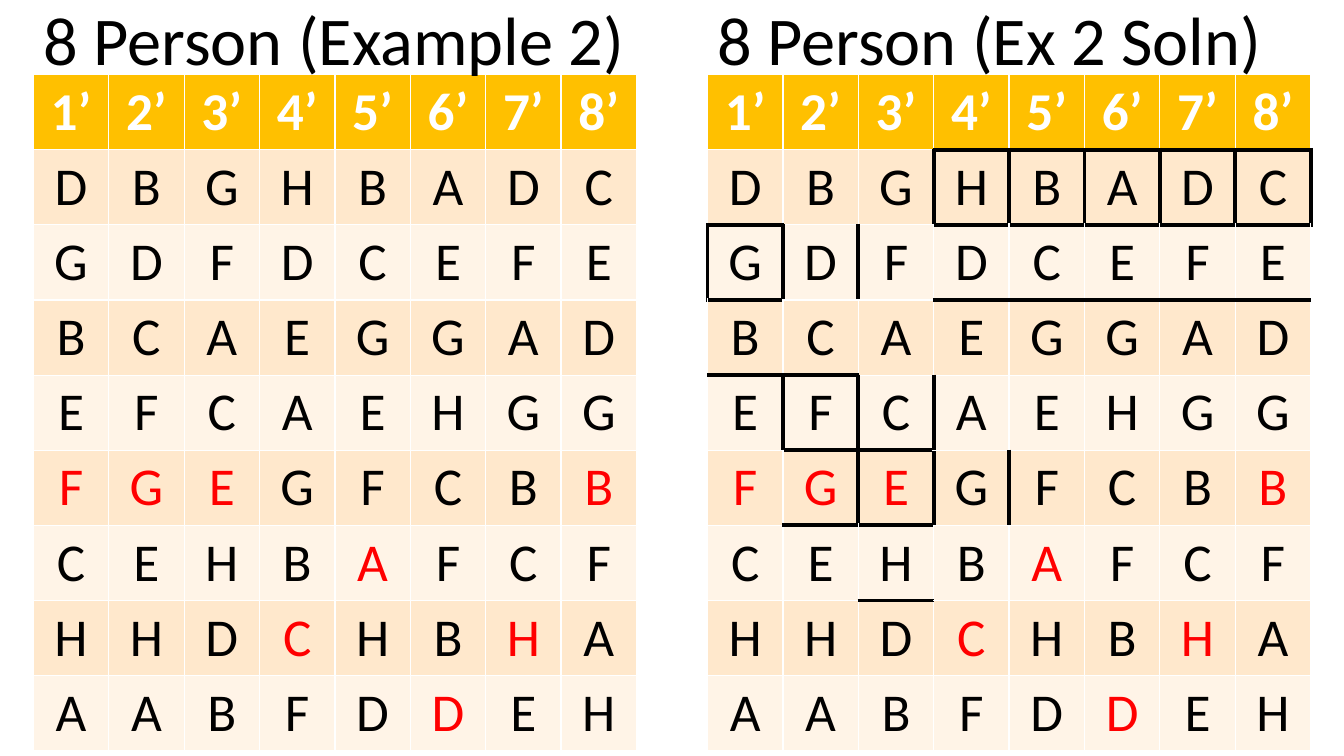
from dataclasses import dataclass

import pptx
import pptx.dml.color
import pptx.enum.text
import pptx.util
from lxml import etree
from pptx.util import Cm


@dataclass(frozen=True)
class Theme:
    font: str = "Calibri"
    title: float = 48.8
    cell: float = 38
    line: float = 3
    ink: str = "000000"
    white: str = "FFFFFF"
    red: str = "FF0000"
    head: str = "FFC000"
    bands: tuple = ("FFF4E7", "FFE8CC")


THEME = Theme()
ROWS = ["DBGHBADC", "GDFDCEFE", "BCAEGGAD", "EFCAEHGG",
        "FGEGFCBB", "CEHBAFCF", "HHDCHBHA", "AABFDDEH"]
# Row of the red letter in each column, counted below the header
RED = (5, 5, 5, 7, 6, 8, 7, 5)
# Framed cells as (row, column); the header is row 0
BOXES = {(1, 3), (1, 4), (1, 5), (1, 6), (1, 7), (2, 0), (4, 1), (5, 2)}
# Side of a cell and the step to its neighbour there
SIDES = {"lnL": (0, -1), "lnR": (0, 1), "lnT": (-1, 0), "lnB": (1, 0)}


def rgb(code):
    return pptx.dml.color.RGBColor.from_string(code)


def style(para, size, color, bold=False):
    font = para.font
    font.name, font.size, font.bold = THEME.font, pptx.util.Pt(size), bold
    font.color.rgb = rgb(color)


def add_title(shape, text, left, top, width, height):
    shape.left, shape.top = Cm(left), Cm(top)
    shape.width, shape.height = Cm(width), Cm(height)
    frame = shape.text_frame
    frame.text = text
    frame.word_wrap = True
    frame.auto_size = pptx.enum.text.MSO_AUTO_SIZE.NONE
    frame.vertical_anchor = pptx.enum.text.MSO_ANCHOR.MIDDLE
    para = frame.paragraphs[0]
    para.alignment = pptx.enum.text.PP_ALIGN.LEFT
    para.line_spacing = 0.9
    style(para, THEME.title, THEME.ink)


def add_frame(cell, row, col, boxes):
    """Draw the sides that the cell shares with a framed cell."""
    sides = [name for name, (down, right) in SIDES.items()
             if (row, col) in boxes or (row + down, col + right) in boxes]
    props = cell._tc.get_or_add_tcPr()
    for spot, name in enumerate(sides):
        space = "{http://schemas.openxmlformats.org/drawingml/2006/main}"
        line = etree.Element(space + name, w=str(pptx.util.Pt(THEME.line)))
        fill = etree.SubElement(line, space + "solidFill")
        etree.SubElement(fill, space + "srgbClr", val=THEME.ink)
        props.insert(spot, line)


def add_grid(slide, boxes, left, top, width, height):
    heads = [f"{n}’" for n in range(1, 9)]
    lines = [heads, *ROWS]
    table = slide.shapes.add_table(len(lines), len(heads), Cm(left), Cm(top),
                                   Cm(width), Cm(height)).table
    for row, line in enumerate(lines):
        for col, text in enumerate(line):
            cell = table.cell(row, col)
            cell.text = text
            cell.fill.solid()
            shade = THEME.bands[row % 2] if row else THEME.head
            cell.fill.fore_color.rgb = rgb(shade)
            color = THEME.red if row == RED[col] else THEME.ink
            para = cell.text_frame.paragraphs[0]
            para.alignment = pptx.enum.text.PP_ALIGN.CENTER
            style(para, THEME.cell, color if row else THEME.white, row == 0)
            add_frame(cell, row, col, boxes)


def add_panel(slide, shape, text, boxes, left, width):
    add_grid(slide, boxes, left, 1.88, width, 16.76)
    add_title(shape, text, left, -0.76, width, 3.68)
    # Keep the title in front of its table
    shape.element.getparent().append(shape.element)


def main():
    deck = pptx.Presentation()
    deck.slide_width, deck.slide_height = Cm(33.87), Cm(19.05)
    slide = deck.slides.add_slide(deck.slide_layouts[5])
    add_panel(slide, slide.shapes.title, "8 Person (Example 2)",
              set(), 0.84, 15.2)
    box = slide.shapes.add_textbox(0, 0, 0, 0)
    add_panel(slide, box, "8 Person (Ex 2 Soln)", BOXES, 17.83, 15.2)
    deck.save("out.pptx")


if __name__ == "__main__":
    main()
